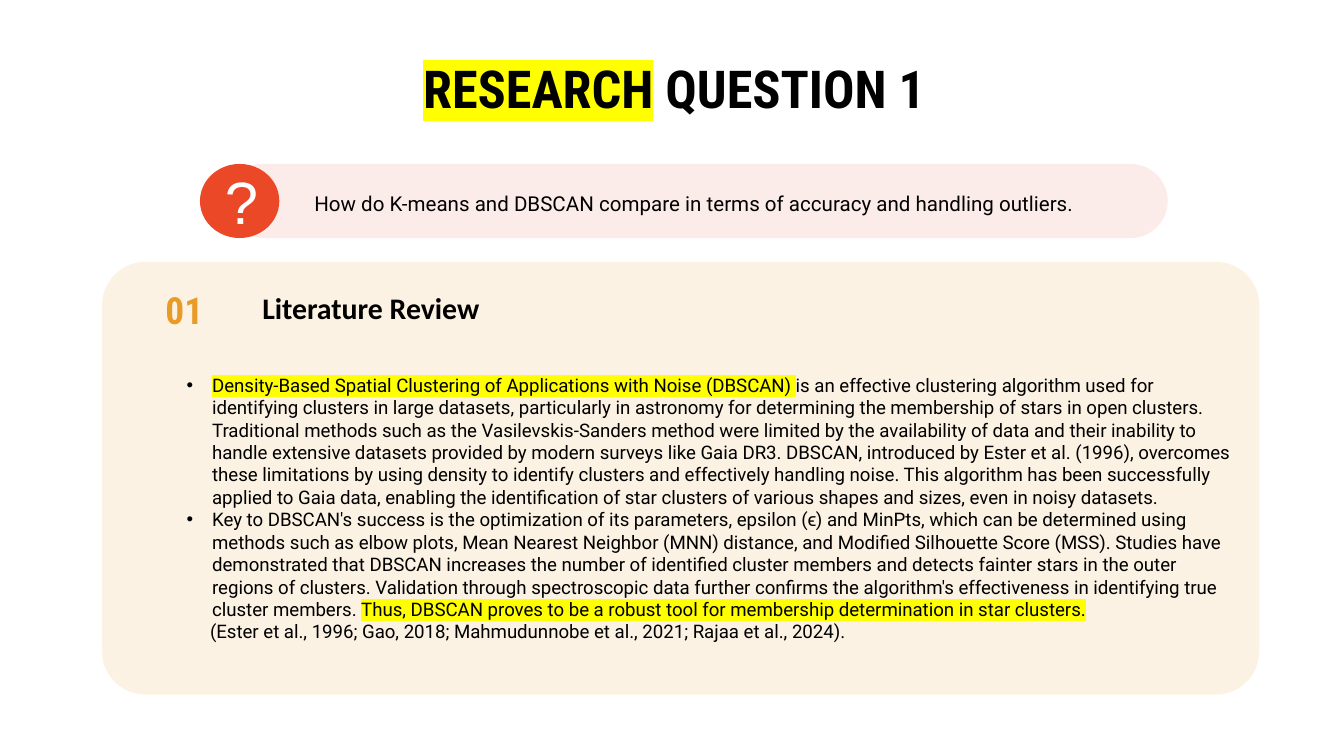
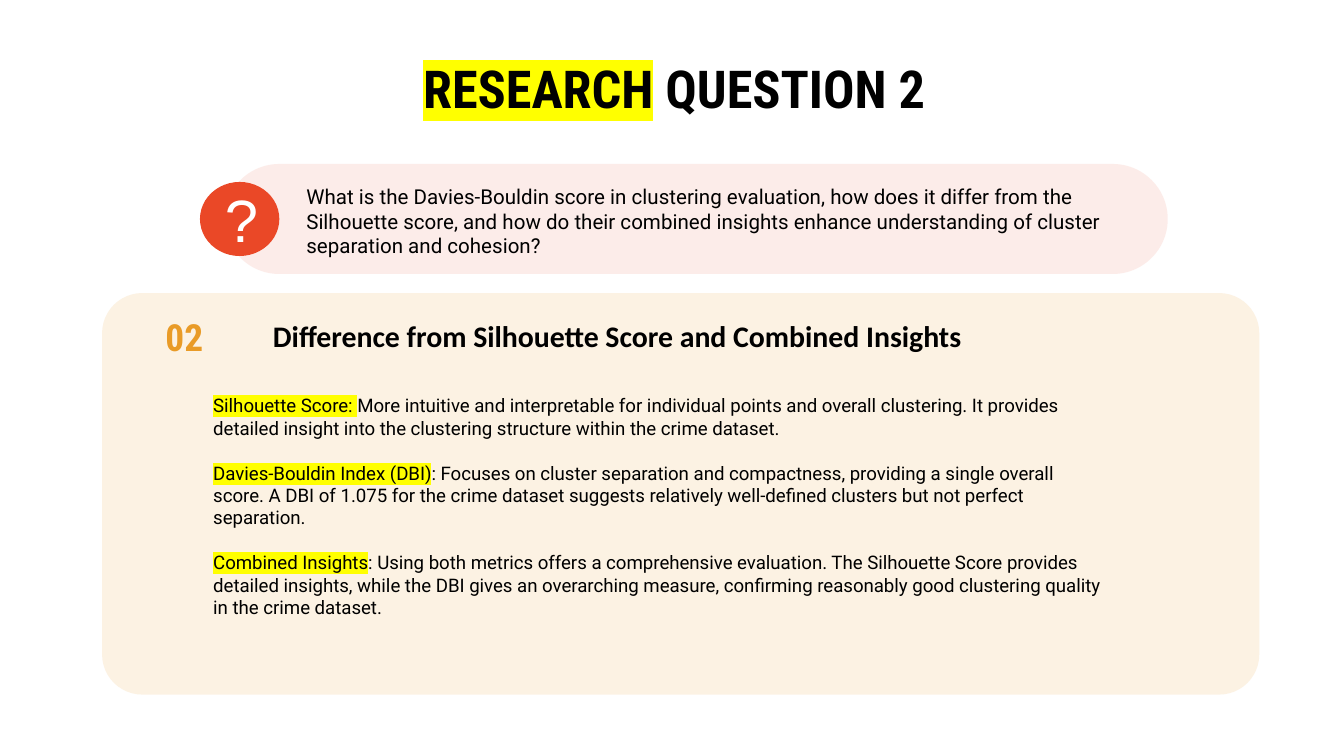
"""Two research-question slides: a question banner above a panel of findings."""
from lxml import etree
from pptx import Presentation
from pptx.dml.color import RGBColor
from pptx.enum import shapes, text
from pptx.oxml import ns
from pptx.util import Cm, Pt

BLACK = RGBColor(0x00, 0x00, 0x00)
WHITE = RGBColor(0xFF, 0xFF, 0xFF)
RED = RGBColor(0xEA, 0x48, 0x27)
PINK = RGBColor(0xF7, 0xB6, 0xA9)
ORANGE = RGBColor(0xE9, 0x9B, 0x27)
YELLOW = RGBColor(0xFF, 0xFF, 0x00)

TITLE = dict(name="Roboto Condensed", size=28, bold=True)
QUESTION = dict(name="Roboto", size=11)
MARK = dict(name="Arial", size=32, color=WHITE)
HEADING = dict(name="Calibri", size=16, bold=True)
NUMBER = dict(name="Roboto Condensed", size=20, bold=True, color=ORANGE)
BODY = dict(name="Roboto", size=10)

BULLET, CITATION, PLAIN = "bullet", "citation", "plain"
BANNER_TOP, MARK_HEIGHT, PANEL_BOTTOM = 3.1, 1.4, 13.13

# Runs are (text, highlighted) pairs.
SLIDES = [
    dict(
        title=" QUESTION 1",
        question="How do K-means and DBSCAN compare in terms of accuracy and handling outliers.",
        question_box=(5.69, 3.48, 16.28, 0.43),
        banner_height=1.4,
        panel_top=4.95,
        number="01",
        number_box=(2.34, 5.03, 2.29, 1.63),
        heading="Literature Review",
        heading_box=(3.15, 5.23, 7.72, 1.17),
        body_box=(3.28, 6.05, 20.27, 7.11),
        centred=True,
        gap=0,
        body=[
            (BULLET, [
                ("Density-Based Spatial Clustering of Applications with Noise (DBSCAN) ", True),
                ("is an effective clustering algorithm used for identifying clusters in large "
                 "datasets, particularly in astronomy for determining the membership of stars in "
                 "open clusters. Traditional methods such as the Vasilevskis-Sanders method were "
                 "limited by the availability of data and their inability to handle extensive "
                 "datasets provided by modern surveys like Gaia DR3. DBSCAN, introduced by Ester "
                 "et al. (1996), overcomes these limitations by using density to identify clusters "
                 "and effectively handling noise. This algorithm has been successfully applied to "
                 "Gaia data, enabling the identification of star clusters of various shapes and "
                 "sizes, even in noisy datasets.", False)]),
            (BULLET, [
                ("Key to DBSCAN's success is the optimization of its parameters, epsilon (ϵ) and "
                 "MinPts, which can be determined using methods such as elbow plots, Mean Nearest "
                 "Neighbor (MNN) distance, and Modified Silhouette Score (MSS). Studies have "
                 "demonstrated that DBSCAN increases the number of identified cluster members and "
                 "detects fainter stars in the outer regions of clusters. Validation through "
                 "spectroscopic data further confirms the algorithm's effectiveness in identifying "
                 "true cluster members. ", False),
                ("Thus, DBSCAN proves to be a robust tool for membership determination in star "
                 "clusters.", True)]),
            (CITATION, [
                ("(Ester et al., 1996; Gao, 2018; Mahmudunnobe et al., 2021; Rajaa et al., 2024).",
                 False)]),
        ],
    ),
    dict(
        title=" QUESTION 2",
        question="What is the Davies-Bouldin score in clustering evaluation, how does it differ "
                 "from the Silhouette score, and how do their combined insights enhance "
                 "understanding of cluster separation and cohesion?",
        question_box=(5.54, 3.35, 16.28, 1.68),
        banner_height=2.08,
        panel_top=5.54,
        number="02",
        number_box=(2.34, 5.61, 2.29, 1.5),
        heading="Difference from Silhouette Score and Combined Insights",
        heading_box=(3.15, 5.79, 17.04, 1.09),
        body_box=(3.78, 7.32, 17.37, 4.52),
        centred=False,
        gap=12,
        body=[
            (PLAIN, [
                ("Silhouette Score: ", True),
                ("More intuitive and interpretable for individual points and overall clustering. "
                 "It provides detailed insight into the clustering structure within the crime "
                 "dataset.", False)]),
            (PLAIN, [
                ("Davies-Bouldin Index (DBI)", True),
                (": Focuses on cluster separation and compactness, providing a single overall "
                 "score. A DBI of 1.075 for the crime dataset suggests relatively well-defined "
                 "clusters but not perfect separation.", False)]),
            (PLAIN, [
                ("Combined Insights", True),
                (": Using both metrics offers a comprehensive evaluation. The Silhouette Score "
                 "provides detailed insights, while the DBI gives an overarching measure, "
                 "confirming reasonably good clustering quality in the crime dataset.", False)]),
        ],
    ),
]


def add_child(parent, tag, **attrs):
    return etree.SubElement(parent, ns.qn(tag), attrs)


def add_shape(s, kind, box, color, alpha=100, corner=None):
    sp = s.shapes.add_shape(kind, *map(Cm, box))
    sp.shadow.inherit = False
    sp.fill.solid()
    sp.fill.fore_color.rgb = color
    sp.line.fill.background()
    if corner is not None:
        sp.adjustments[0] = corner
    if alpha < 100:
        clr = sp.fill._xPr.find(".//" + ns.qn("a:srgbClr"))
        add_child(clr, "a:alpha", val=str(alpha * 1000))
    return sp


def indent(p, kind):
    pPr = p._p.get_or_add_pPr()
    if kind == BULLET:
        pPr.set("marL", str(Cm(0.48)))
        pPr.set("indent", str(-Cm(0.48)))
        add_child(add_child(pPr, "a:buClr"), "a:srgbClr", val=str(BLACK))
        add_child(pPr, "a:buFont", typeface="Arial")
        add_child(pPr, "a:buChar", char="•")
    elif kind == CITATION:
        pPr.set("marL", str(Cm(0.44)))


def write(sp, paragraphs, style, centred=False, middle=True, gap=0):
    tf = sp.text_frame
    tf.word_wrap = True
    tf.margin_left = tf.margin_right = Cm(0.25)
    tf.margin_top = tf.margin_bottom = Cm(0.25 if middle else 0.13)
    tf.vertical_anchor = text.MSO_ANCHOR.MIDDLE if middle else text.MSO_ANCHOR.TOP
    for i, (kind, runs) in enumerate(paragraphs):
        p = tf.add_paragraph() if i else tf.paragraphs[0]
        p.alignment = text.PP_ALIGN.CENTER if centred else text.PP_ALIGN.LEFT
        if i and gap:
            p.space_before = Pt(gap)
        indent(p, kind)
        p.font.name = style["name"]
        p.font.size = Pt(style["size"])
        p.font.bold = style.get("bold", False)
        p.font.color.rgb = style.get("color", BLACK)
        for words, highlighted in runs:
            r = p.add_run()
            r.text = words
            if highlighted:
                mark = add_child(r._r.get_or_add_rPr(), "a:highlight")
                add_child(mark, "a:srgbClr", val=str(YELLOW))


def add_text(s, box, paragraphs, style, **layout):
    write(s.shapes.add_textbox(*map(Cm, box)), paragraphs, style, **layout)


def line(words):
    return [(PLAIN, [(words, False)])]


def build_slide(prs, c):
    s = prs.slides.add_slide(prs.slide_layouts[6])
    rounded, oval = shapes.MSO_SHAPE.ROUNDED_RECTANGLE, shapes.MSO_SHAPE.OVAL
    add_text(s, (0.94, 1.14, 23.6, 1.04),
             [(PLAIN, [("RESEARCH", True), (c["title"], False)])], TITLE, centred=True)

    height = c["banner_height"]
    add_shape(s, rounded, (4.24, BANNER_TOP, 17.83, height), PINK, 25, 0.5)
    add_text(s, c["question_box"], line(c["question"]), QUESTION, middle=False)
    mark_top = BANNER_TOP + (height - MARK_HEIGHT) / 2
    mark = add_shape(s, oval, (3.78, mark_top, 1.5, MARK_HEIGHT), RED)
    write(mark, line("?"), MARK, centred=True)

    top = c["panel_top"]
    add_shape(s, rounded, (1.93, top, 21.87, PANEL_BOTTOM - top), ORANGE, 13, 0.1)
    add_text(s, c["heading_box"], line(c["heading"]), HEADING, centred=True)
    add_text(s, c["number_box"], line(c["number"]), NUMBER, centred=True)
    add_text(s, c["body_box"], c["body"], BODY, middle=c["centred"], gap=c["gap"])


def main():
    prs = Presentation()
    prs.slide_width, prs.slide_height = Cm(25.4), Cm(14.29)
    for content in SLIDES:
        build_slide(prs, content)
    prs.save("out.pptx")


if __name__ == "__main__":
    main()
